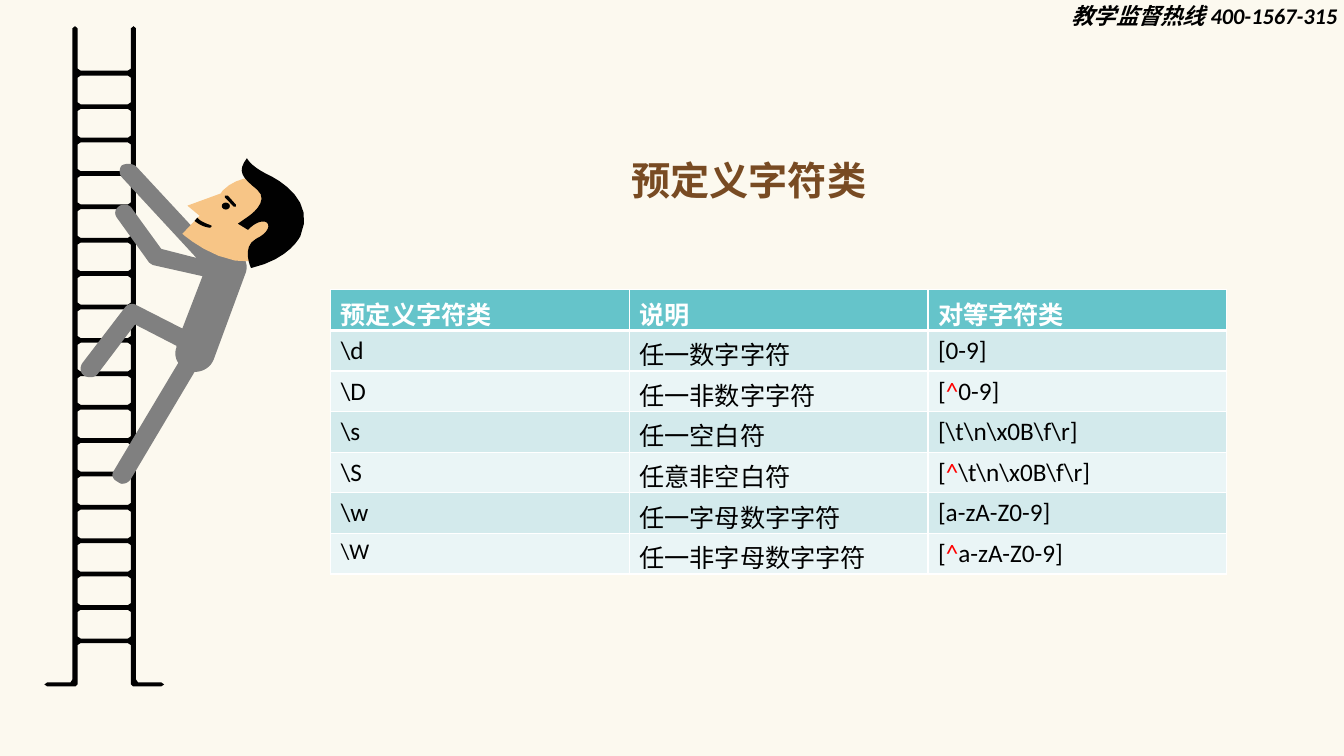
"""Build a slide with a climber on a ladder beside a table of predefined character classes."""
from dataclasses import dataclass
from typing import Any

from lxml import etree
from pptx import Presentation
from pptx import util as u
from pptx.dml import color as dml
from pptx.enum import shapes, text
from pptx.oxml import ns

COLORS = {
    "paper": "FCF9EF", "ink": "010101", "black": "000000", "white": "FFFFFF",
    "suit": "808080", "skin": "F7C586", "title": "784B23", "caret": "FF0000",
    "header": "65C4CA", "band_dark": "D3EAEC", "band_light": "EAF5F6",
}
CURVE_STEPS = 8
LADDER_AXIS = 74.5
RUNG_PITCH = 23.85
RUNG_GAPS = 17

Point = tuple[float, float]
Step = tuple[float, ...]


@dataclass(frozen=True)
class Figure:
    """Filled outline: two numbers draw a line, six a cubic curve."""
    color: str
    steps: list[Step]


@dataclass(frozen=True)
class ClassRow:
    """One table row; size applies to the first column."""
    name: str
    meaning: str
    equivalent: str
    size: float = 18


BODY = Figure("suit", [
    (166.3, 177.8), (162, 176.4, 157, 177.8, 153.4, 179.3), (97.2, 118.8),
    (94.3, 116.6, 90, 116.6, 87.1, 118.1), (85, 120.2, 85, 124.6, 87.1, 126.7),
    (140.4, 184.3), (115.2, 177.8), (94.3, 149),
    (92.9, 146.2, 88.6, 145.4, 85.7, 146.9), (82.1, 149, 81.4, 152.6, 83.5, 155.5),
    (105.8, 186.5), (106.6, 187.9, 108, 188.6, 109.4, 189.4),
    (144.7, 197.3), (130.3, 234.7), (97.9, 218.2),
    (95, 216, 90.7, 217.4, 89.3, 219.6), (59, 259.2),
    (56.9, 262.1, 56.9, 266.4, 60.5, 268.6), (63.4, 270, 67.7, 270, 69.8, 267.1),
    (96.5, 231.8), (126, 247), (126, 248.4),
    (124.6, 252, 125.3, 256.3, 127.4, 259.2), (81.4, 336.2),
    (79.2, 339.1, 80.6, 342.7, 84.2, 344.2), (85, 344.9, 86.4, 345.6, 87.1, 345.6),
    (90, 345.6, 92.2, 344.2, 93.6, 342), (139, 265.7),
    (145.4, 265.7, 150.5, 262.1, 152.6, 257), (175.7, 194.4),
    (177.8, 187.9, 173.5, 180, 166.3, 177.8),
])
FACE = Figure("skin", [
    (157.7, 138.2), (159.1, 136.1), (170.6, 124.6, 188.6, 123.8, 200.9, 133.9),
    (216, 146.2, 216, 162.7, 205.9, 174.2), (174.2, 206.6, 130.3, 167, 130.3, 167),
    (142.6, 154.1), (133.9, 146.9),
])
HAIR = Figure("ink", [
    (177.1, 154.8), (177.1, 154.8, 193.7, 144, 183.6, 135.4),
    (172.8, 126.7, 169.2, 122.4, 176.4, 113), (176.4, 113, 178.6, 118.1, 189.4, 123.8),
    (200.9, 128.9, 225.4, 144, 214.6, 168.5), (214.6, 168.5, 207.4, 185, 179.3, 191.5),
    (179.3, 191.5, 172.1, 176.4, 182.9, 170.6), (192.2, 166.3, 193.7, 159.8, 189.4, 158.4),
    (183.6, 157, 177.1, 164.2, 177.1, 164.2), (169.9, 159.8),
])
BROW = Figure("ink", [
    (160.6, 139.7), (160.6, 141.1), (167, 147.6), (168.5, 147.6), (168.5, 146.2), (162.7, 139.7),
])
MOUTH = Figure("ink", [
    (151.2, 161.3), (149.8, 160.6), (145.4, 159.1, 141.8, 157, 141.1, 155.5),
    (139, 157.7), (139.7, 158.4), (141.8, 159.8, 144.7, 162, 149.8, 162.7),
    (150.5, 162.7, 151.2, 162, 151.2, 161.3),
])
LEFT_RAIL: list[Point] = [
    (57.6, 50.4), (55.4, 49), (55.4, 20.2), (53.6, 18.7), (51.8, 20.2), (51.8, 485.3),
    (50.4, 487.4), (33.8, 487.4), (31.7, 488.9), (33.8, 490.3), (54, 490.3),
    (55.4, 488.9), (55.4, 460.8), (57.6, 459.4),
]
GAP_LEFT: list[Point] = [(57.6, 54), (55.4, 55.5), (55.4, 73), (57.6, 74.5)]
ROWS = [
    ClassRow("预定义字符类", "说明", "对等字符类"),
    ClassRow(r"\d", "任一数字字符", "[0-9]"),
    ClassRow(r"\D", "任一非数字字符", "[^0-9]"),
    ClassRow(r"\s", "任一空白符", r"[\t\n\x0B\f\r]"),
    ClassRow(r"\S", "任意非空白符", r"[^\t\n\x0B\f\r]"),
    ClassRow(r"\w", "任一字母数字字符", "[a-zA-Z0-9]"),
    ClassRow(r"\W", "任一非字母数字字符", "[^a-zA-Z0-9]", size=16),
]


def rgb(name: str) -> dml.RGBColor:
    return dml.RGBColor.from_string(COLORS[name])


def write(paragraph: Any, words: str, *, size: float, color: str = "black", bold: bool = False,
          italic: bool = False, font: str = "Calibri", east_asian: str = "") -> None:
    run = paragraph.add_run()
    run.text = words
    run.font.size, run.font.bold, run.font.italic = u.Pt(size), bold, italic
    run.font.name = font
    run.font.color.rgb = rgb(color)
    if east_asian:
        etree.SubElement(run.font._element, ns.qn("a:ea"), typeface=east_asian)


def paint(part: Any, color: str) -> None:
    part.shadow.inherit = False
    part.fill.solid()
    part.fill.fore_color.rgb = rgb(color)
    part.line.fill.background()


def flatten(steps: list[Step]) -> list[Point]:
    points: list[Point] = [(steps[0][0], steps[0][1])]
    for step in steps[1:]:
        if len(step) == 2:
            points.append((step[0], step[1]))
            continue
        controls = [points[-1], step[:2], step[2:4], step[4:]]
        for i in range(1, CURVE_STEPS + 1):
            t = i / CURVE_STEPS
            weights = ((1 - t) ** 3, 3 * t * (1 - t) ** 2, 3 * t * t * (1 - t), t ** 3)
            x, y = (sum(w * c[axis] for w, c in zip(weights, controls)) for axis in (0, 1))
            points.append((x, y))
    return points


def draw_contours(slide: Any, contours: list[list[Point]], color: str) -> None:
    scaled = [[(u.Pt(x), u.Pt(y)) for x, y in contour] for contour in contours]
    builder = slide.shapes.build_freeform(*scaled[0][0])
    for i, contour in enumerate(scaled):
        if i:
            builder.move_to(*contour[0])
        builder.add_line_segments(contour[1:], close=True)
    paint(builder.convert_to_shape(), color)


def mirrored(left: list[Point], drop: float = 0) -> list[Point]:
    lowered = [(x, y + drop) for x, y in left]
    return lowered + [(2 * LADDER_AXIS - x, y) for x, y in reversed(lowered)]


def draw_climber(slide: Any) -> None:
    gaps = [mirrored(GAP_LEFT, i * RUNG_PITCH) for i in range(RUNG_GAPS)]
    draw_contours(slide, [mirrored(LEFT_RAIL), *gaps], "ink")
    for figure in (BODY, FACE, HAIR, BROW, MOUTH):
        draw_contours(slide, [flatten(figure.steps)], figure.color)
    eye = slide.shapes.add_shape(shapes.MSO_SHAPE.OVAL, u.Pt(158.4), u.Pt(144.7), u.Pt(5.8), u.Pt(5))
    paint(eye, "ink")


def add_borders(cell: Any, bottom: float) -> None:
    for side, width in (("L", 1), ("R", 1), ("T", 1), ("B", bottom)):
        edge = etree.SubElement(cell._tc.get_or_add_tcPr(), ns.qn(f"a:ln{side}"), w=str(u.Pt(width)))
        fill = etree.SubElement(edge, ns.qn("a:solidFill"))
        etree.SubElement(fill, ns.qn("a:srgbClr"), val=COLORS["white"])


def draw_table(slide: Any) -> None:
    classes = slide.shapes.add_table(len(ROWS), 3, u.Pt(236.2), u.Pt(207), u.Pt(640), u.Pt(29 * len(ROWS))).table
    classes.horz_banding = False
    for i, row in enumerate(ROWS):
        header = i == 0
        band = "header" if header else "band_dark" if i % 2 else "band_light"
        for j, words in enumerate((row.name, row.meaning, row.equivalent)):
            cell = classes.cell(i, j)
            add_borders(cell, 3 if header else 1)
            cell.fill.solid()
            cell.fill.fore_color.rgb = rgb(band)
            for part in filter(None, words.partition("^")):
                color = "white" if header else "caret" if part == "^" else "black"
                write(cell.text_frame.paragraphs[0], part, size=18 if j else row.size, color=color, bold=header)


def draw_heading(slide: Any) -> None:
    hotline = slide.shapes.add_textbox(u.Pt(758.2), u.Pt(0), u.Pt(207.4), u.Pt(28)).text_frame
    hotline.word_wrap = True
    hotline.paragraphs[0].line_spacing = 0.9
    write(hotline.paragraphs[0], "教学监督热线 400-1567-315", size=16, bold=True, italic=True)
    title = slide.shapes.title
    title.left, title.top, title.width, title.height = u.Pt(408.2), u.Pt(108), u.Pt(253.4), u.Pt(41)
    title.text_frame.vertical_anchor = text.MSO_ANCHOR.MIDDLE
    title.text_frame.paragraphs[0].alignment = text.PP_ALIGN.CENTER
    write(title.text_frame.paragraphs[0], "预定义字符类", size=28, color="title", bold=True,
          font="Noto Sans CJK SC", east_asian="Noto Sans CJK SC")


deck = Presentation()
deck.slide_width, deck.slide_height = u.Pt(960), u.Pt(540)
lesson = deck.slides.add_slide(deck.slide_layouts[5])
lesson.background.fill.solid()
lesson.background.fill.fore_color.rgb = rgb("paper")
draw_heading(lesson)
draw_climber(lesson)
draw_table(lesson)
deck.save("out.pptx")
